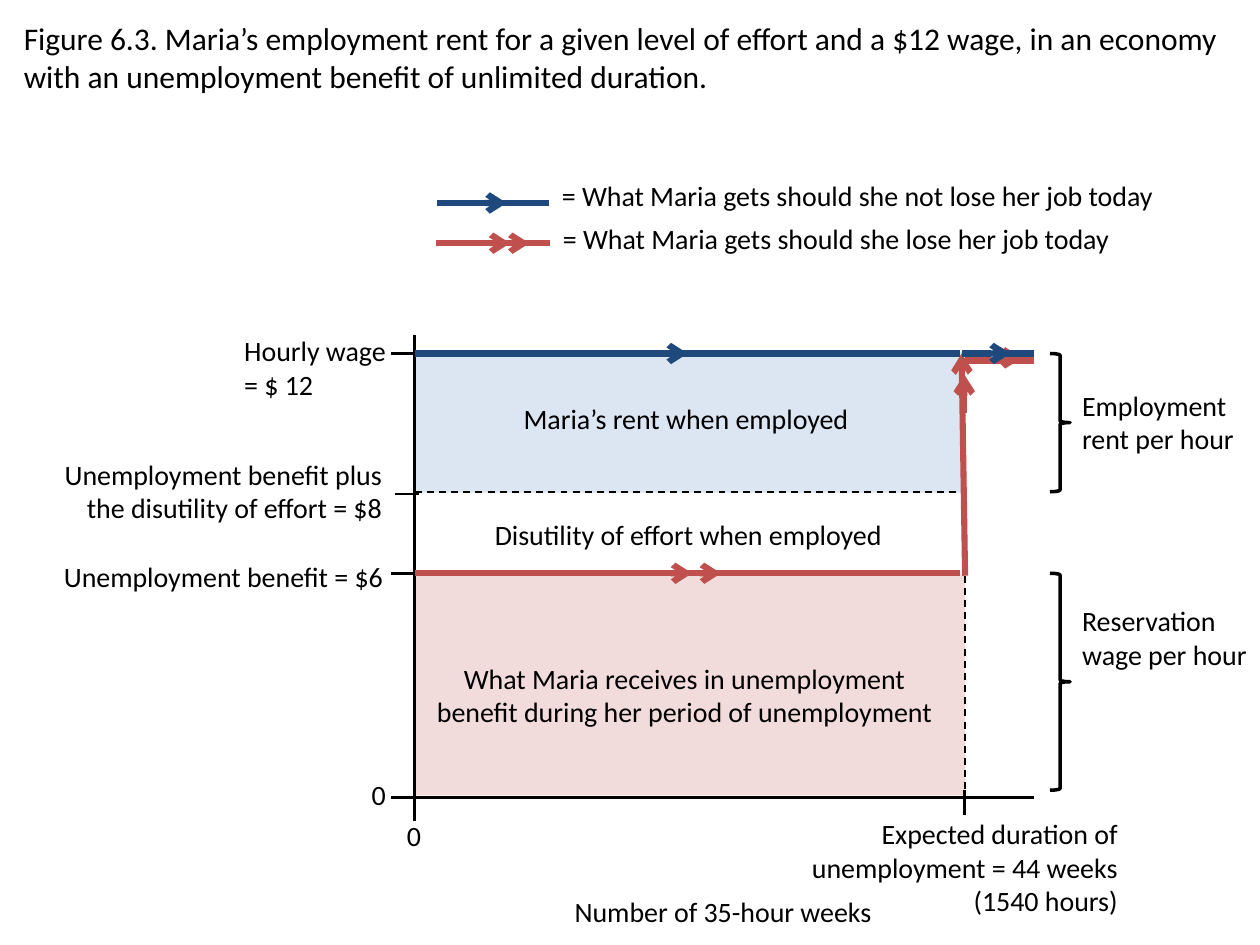
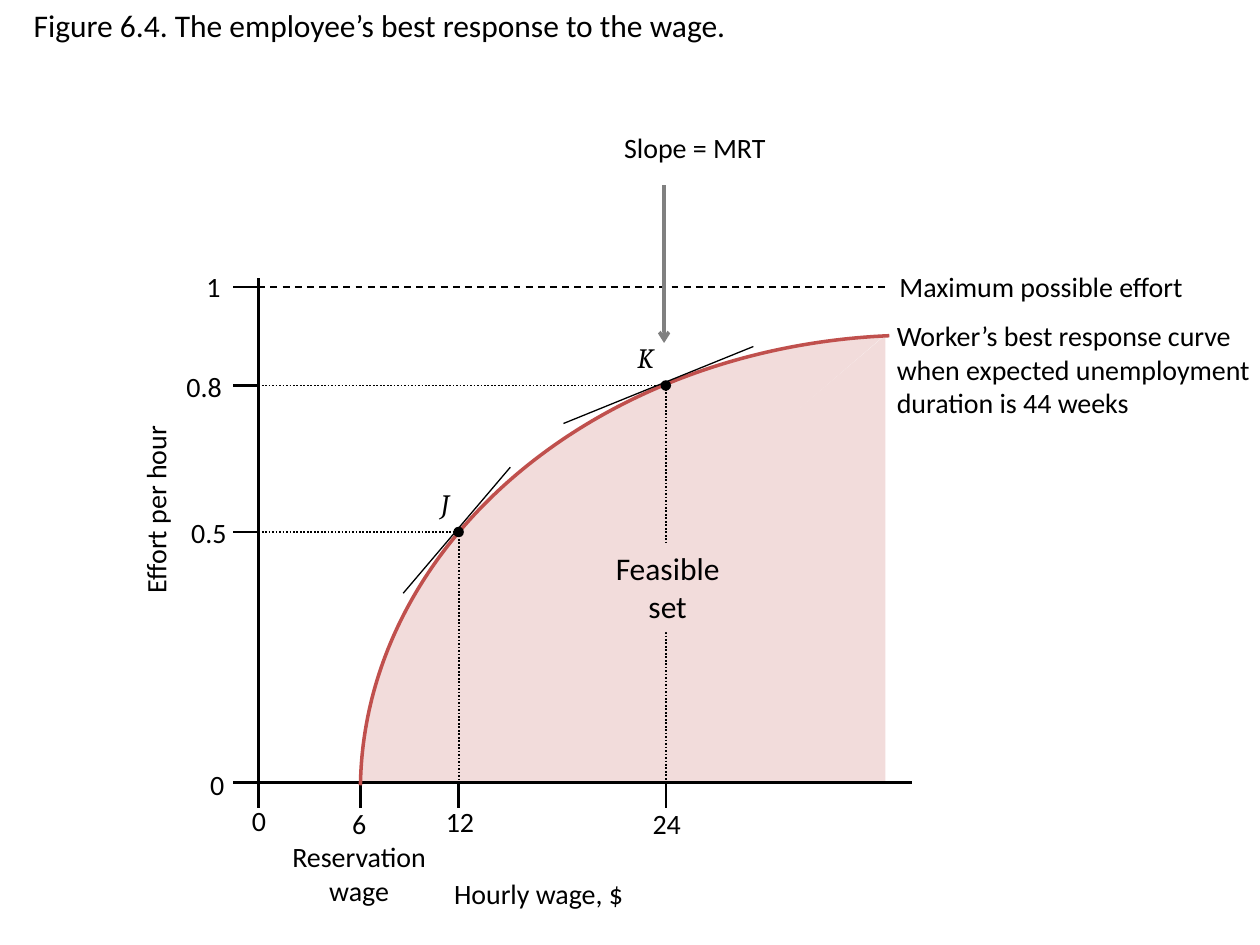
import math

import lxml.etree
import pptx
import pptx.dml.color
import pptx.enum.shapes
import pptx.enum.text
import pptx.oxml.ns
import pptx.util

Pt = pptx.util.Pt
qn = pptx.oxml.ns.qn
color = pptx.dml.color.RGBColor.from_string
SHAPE = pptx.enum.shapes.MSO_SHAPE
LEFT = pptx.enum.text.PP_ALIGN.LEFT
CENTER = pptx.enum.text.PP_ALIGN.CENTER
RIGHT = pptx.enum.text.PP_ALIGN.RIGHT

BLACK = "000000"
BLUE = "1F497D"
RED = "C0504D"
GRAY = "808080"
PALE_BLUE = "DCE6F2"
PALE_RED = "F2DCDB"
THICK = 3.5


def add_text(slide, text, left, top, width, height, align=LEFT, size=16, font="Calibri", fill=None):
    shape = slide.shapes.add_textbox(Pt(left), Pt(top), Pt(width), Pt(height))
    if fill:
        shape.fill.solid()
        shape.fill.fore_color.rgb = color(fill)
    frame = shape.text_frame
    frame.word_wrap = True
    frame.auto_size = pptx.enum.text.MSO_AUTO_SIZE.SHAPE_TO_FIT_TEXT
    frame.text = text
    for paragraph in frame.paragraphs:
        paragraph.alignment = align
        paragraph.font.size = Pt(size)
        paragraph.font.name = font
        paragraph.font.italic = font == "Cambria"
        paragraph.font.color.rgb = color(BLACK)
    return shape


def add_line(slide, x1, y1, x2, y2, line_color=BLACK, width=1.5, dash=None, arrow=False):
    connector = slide.shapes.add_connector(
        pptx.enum.shapes.MSO_CONNECTOR.STRAIGHT, Pt(x1), Pt(y1), Pt(x2), Pt(y2))
    connector.line.color.rgb = color(line_color)
    connector.line.width = Pt(width)
    properties = connector.element.spPr
    outline = properties.find(qn("a:ln"))
    if dash:
        lxml.etree.SubElement(outline, qn("a:prstDash"), val=dash)
    if arrow:
        lxml.etree.SubElement(outline, qn("a:tailEnd"), type="arrow")
    lxml.etree.SubElement(properties, qn("a:effectLst"))


presentation = pptx.Presentation()
presentation.slide_width = Pt(720)
presentation.slide_height = Pt(540)

titles = [
    ("Figure 6.3. Maria’s employment rent for a given level of effort and a $12 wage, "
     "in an economy with an unemployment benefit of unlimited duration.", 6.5, 7.2, 713.5, 51),
    ("Figure 6.4. The employee’s best response to the wage.", 12.2, 0, 690, 29),
]
slides = []
for title in titles:
    slide = presentation.slides.add_slide(presentation.slide_layouts[6])
    add_text(slide, *title, size=18)
    slides.append(slide)
rent_slide, response_slide = slides

axis_x, job_x, end_x = 237, 551.5, 591
wage_y, effort_y, benefit_y, zero_y = 202, 281, 327.6, 455.8

for left, top, width, height, fill in [
    (236, 201, 314, 80.5, PALE_BLUE),
    (axis_x, benefit_y, 314.5, 127, PALE_RED),
]:
    area = rent_slide.shapes.add_shape(SHAPE.RECTANGLE, Pt(left), Pt(top), Pt(width), Pt(height))
    area.shadow.inherit = False
    area.fill.solid()
    area.fill.fore_color.rgb = color(fill)
    area.line.fill.background()

add_line(rent_slide, axis_x, 191.5, axis_x, zero_y)
add_line(rent_slide, axis_x, zero_y, end_x, zero_y)
for tick_x, top in [(axis_x, 454.5), (551, 451.5)]:
    add_line(rent_slide, tick_x, top, tick_x, top + 14.4)
for left, tick_y in [(223.5, wage_y), (226, 282.2), (223.5, benefit_y), (223.5, zero_y)]:
    add_line(rent_slide, left, tick_y, left + 13.5, tick_y)

add_line(rent_slide, axis_x, effort_y, 549.5, effort_y, width=1, dash="dash")
add_line(rent_slide, job_x, 329, job_x, zero_y, width=1, dash="dash")

for x1, y1, x2, y2, line_color, arrow in [
    (axis_x, benefit_y, 548.5, benefit_y, RED, False),
    (241, benefit_y, 395.5, benefit_y, RED, True),
    (371.5, benefit_y, 412, benefit_y, RED, True),
    (axis_x, wage_y, 548.5, wage_y, BLUE, False),
    (axis_x, wage_y, 393, wage_y, BLUE, True),
    (job_x, 329, 549.5, wage_y, RED, True),
    (575, 204.5, 584, 204.5, RED, True),
    (job_x, 206, end_x, 206, RED, False),
    (549.5, wage_y, 577.5, wage_y, BLUE, True),
    (569, wage_y, end_x, wage_y, BLUE, False),
    (551, 236, 551, 214, RED, True),
    (250, 116, 314, 116, BLUE, False),
    (250, 116, 289.5, 116, BLUE, True),
    (249, 139, 314.5, 139, RED, False),
    (251, 139, 291.5, 139, RED, True),
    (263, 139, 302.5, 139, RED, True),
]:
    add_line(rent_slide, x1, y1, x2, y2, line_color, THICK, arrow=arrow)

for top, height in [(benefit_y, 124), (wage_y, 79)]:
    brace = rent_slide.shapes.add_shape(SHAPE.RIGHT_BRACE, Pt(600), Pt(top), Pt(11.5), Pt(height))
    brace.shadow.inherit = False
    brace.fill.background()
    brace.line.color.rgb = color(BLACK)
    brace.line.width = Pt(2)

for label in [
    ("= What Maria gets should she not lose her job today", 314, 98.6, 401, 26.6),
    ("= What Maria gets should she lose her job today", 314.6, 123.1, 401, 26.6),
    ("Hourly wage = $ 12", 132.5, 187.2, 100, 46),
    ("Unemployment benefit plus the disutility of effort = $8", 16.6, 257.8, 208.8, 46, RIGHT),
    ("Unemployment benefit = $6", 0, 316.1, 226, 26.6, RIGHT),
    ("0", 205.2, 440.6, 20.2, 26.6),
    ("0", 225.4, 464.4, 31, 26.6),
    ("Maria’s rent when employed", 276.5, 226.1, 231.1, 16.6, CENTER),
    ("Disutility of effort when employed", 271, 292.3, 244.8, 26.6, CENTER),
    ("What Maria receives in unemployment benefit during her period of unemployment",
     235, 374.4, 312.5, 46, CENTER),
    ("Employment rent per hour", 611.3, 218.2, 119.5, 46),
    ("Reservation wage per hour", 611.3, 341.3, 119.5, 46),
    ("Expected duration of unemployment = 44 weeks\n(1540 hours)", 455, 463, 190.8, 85, RIGHT),
    ("Number of 35-hour weeks", 235.4, 507.6, 355.7, 26.6, CENTER),
]:
    add_text(rent_slide, *label)

origin_x, origin_y = 147.6, 447.1
reservation_x, low_x, high_x, edge_x = 206, 262.1, 380.5, 505.5
low_y, high_y, top_y = 304, 220.3, 164
arc_left, arc_top, arc_width, arc_height = 206, 191.5, 637, 520.6

triangle = response_slide.shapes.add_shape(
    SHAPE.ISOSCELES_TRIANGLE, Pt(206), Pt(191.5), Pt(300), Pt(255))
triangle.adjustments[0] = 1

curve = []
for step in range(61):
    angle = math.radians(180.5 + 86 * step / 60)
    curve.append((
        Pt(arc_left + arc_width / 2 * (1 + math.cos(angle))),
        Pt(arc_top + arc_height / 2 * (1 + math.sin(angle)))))
builder = response_slide.shapes.build_freeform(*curve[0])
builder.add_line_segments(curve[1:], close=True)
bulge = builder.convert_to_shape()

for area in [triangle, bulge]:
    area.shadow.inherit = False
    area.fill.solid()
    area.fill.fore_color.rgb = color(PALE_RED)
    area.line.fill.background()

add_line(response_slide, origin_x, 159, origin_x, origin_y)
add_line(response_slide, origin_x, origin_y, 521.3, origin_y)
for tick_x in [origin_x, reservation_x, low_x, high_x]:
    add_line(response_slide, tick_x, origin_y, tick_x, origin_y + 14.4)
for tick_y in [top_y, high_y, low_y, origin_y]:
    add_line(response_slide, origin_x - 14.4, tick_y, origin_x - 1, tick_y)

add_line(response_slide, origin_x, top_y, edge_x, top_y, width=1, dash="dash")
for point_x, point_y in [(low_x, low_y), (high_x, high_y)]:
    add_line(response_slide, origin_x, point_y, point_x, point_y, width=1, dash="sysDot")
    add_line(response_slide, point_x, point_y, point_x, origin_y, width=1, dash="sysDot")

response_curve = response_slide.shapes.add_shape(
    SHAPE.ARC, Pt(arc_left), Pt(arc_top), Pt(arc_width), Pt(arc_height))
response_curve.adjustments[0] = 108.33
response_curve.adjustments[1] = 159.85
response_curve.shadow.inherit = False
response_curve.fill.background()
response_curve.line.color.rgb = color(RED)
response_curve.line.width = Pt(2)

add_text(response_slide, "Feasible\nset", 334, 310.3, 95, 51, CENTER, 18, fill=PALE_RED)

add_line(response_slide, 230.4, 339, 291.6, 267, width=0.75)
add_line(response_slide, 322, 242, 430.5, 198, width=0.75)
add_line(response_slide, 379.5, 106, 379.5, 196, GRAY, 2, arrow=True)

for point_x, point_y in [(low_x, low_y), (high_x, high_y)]:
    dot = response_slide.shapes.add_shape(
        SHAPE.OVAL, Pt(point_x - 3), Pt(point_y - 3), Pt(6), Pt(6))
    dot.shadow.inherit = False
    dot.fill.solid()
    dot.fill.fore_color.rgb = color(BLACK)
    dot.line.fill.background()

for label in [
    ("1", 110.9, 150.5, 31, 26.6),
    ("0.8", 99.4, 207.4, 34.6, 26.6),
    ("0.5", 102.2, 290.9, 42.5, 26.6),
    ("0", 113, 434.9, 20.2, 26.6),
    ("0", 136.8, 455.8, 31, 26.6),
    ("6\nReservation wage", 146.9, 457.2, 116.6, 65.5, CENTER),
    ("12", 247.7, 456.5, 60.5, 26.6),
    ("24", 365.8, 457.2, 31, 26.6),
    ("Hourly wage, $", 94.3, 497.5, 427, 26.6, CENTER),
    ("Maximum possible effort", 506.9, 150.5, 195.1, 26.6),
    ("Worker’s best response curve when expected unemployment duration is 44 weeks",
     505.4, 178.6, 220.3, 65.5),
    ("Slope = MRT", 334.8, 71.3, 124.6, 26.6, CENTER),
    ("J", 244.8, 274.3, 34.6, 26.6, LEFT, 16, "Cambria"),
    ("K", 357.1, 190.8, 34.6, 26.6, LEFT, 16, "Cambria"),
]:
    add_text(response_slide, *label)

effort_title = add_text(response_slide, "Effort per hour", -52.6, 277.9, 283, 26.6, CENTER)
effort_title.rotation = 270

presentation.save("out.pptx")
